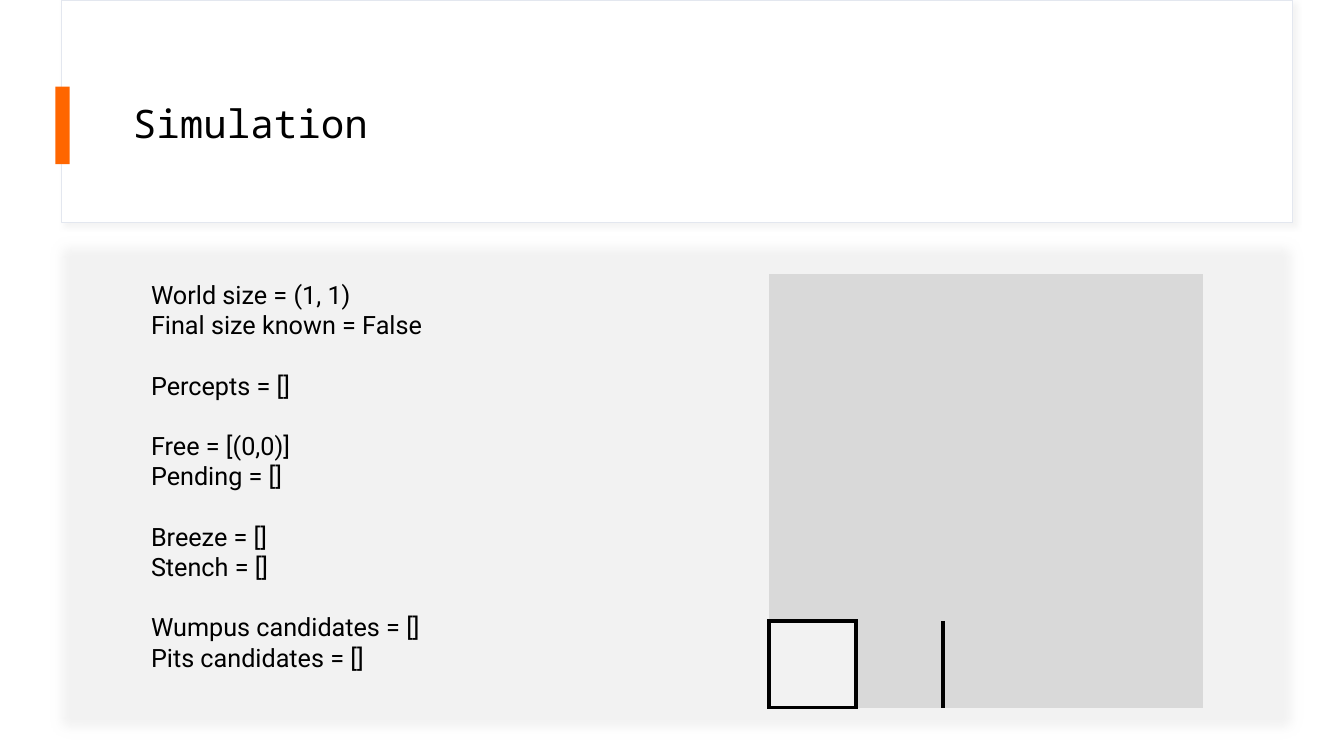
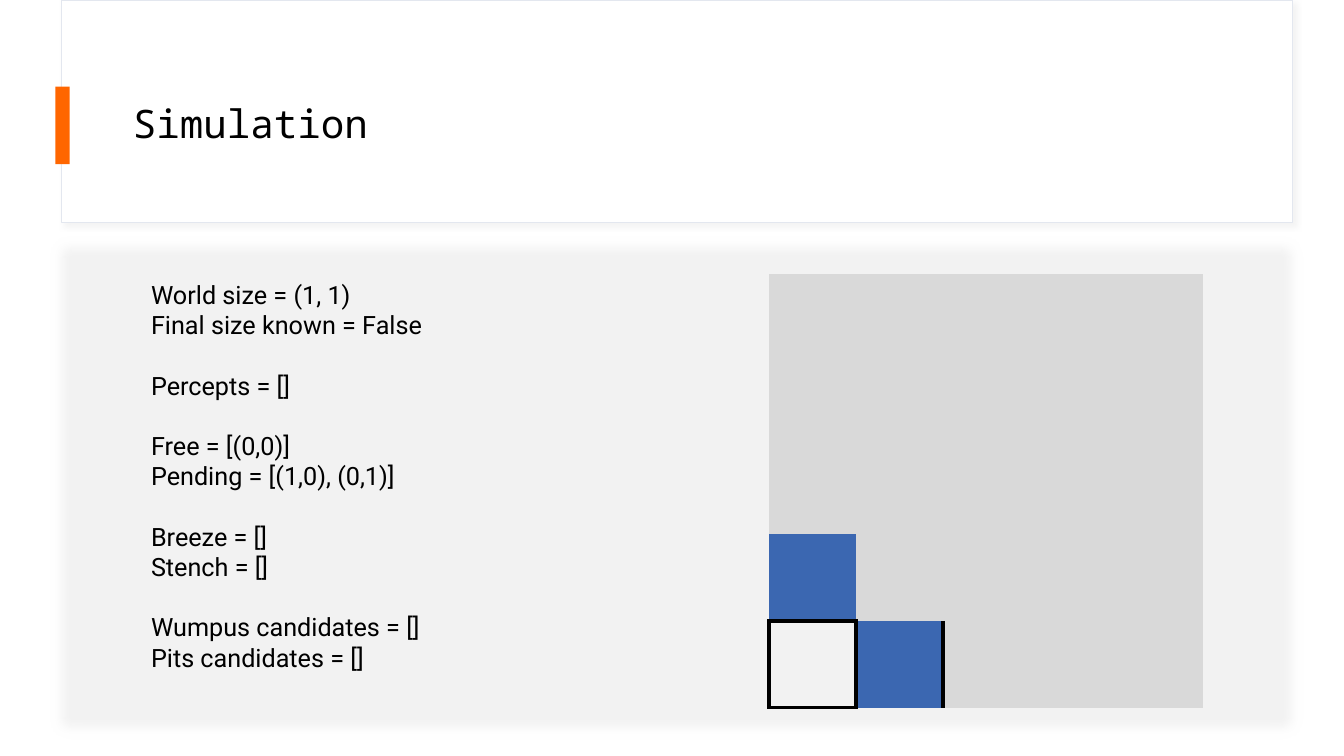
from dataclasses import dataclass

from lxml import etree
from pptx import Presentation, util as u
from pptx.dml.color import RGBColor
from pptx.enum import shapes, text
from pptx.oxml import ns


@dataclass(frozen=True)
class Theme:
    paper: str = "FFFFFF"
    ink: str = "000000"
    edge: str = "E3E7EF"
    accent: str = "FF6600"
    panel: str = "F2F2F2"
    fog: str = "D9D9D9"
    todo: str = "3B67B1"
    mono: str = "Noto Sans Mono"
    sans: str = "Roboto"
    head: int = 28
    body: int = 18
    gap: float = 21.6


T = Theme()

# Content: each slide has groups of lines and the cells (x, y) still pending
TITLE = "Simulation"
HERE = (0, 0)
SIZE = 5


def state(pending):
    return [
        ["World size = (1, 1)", "Final size known = False"],
        ["Percepts = []"],
        ["Free = [(0,0)]", f"Pending = {pending}"],
        ["Breeze = []", "Stench = []"],
        ["Wumpus candidates = []", "Pits candidates = []"],
    ]


STEPS = [
    (state("[]"), []),
    (state("[(1,0), (0,1)]"), [(1, 0), (0, 1)]),
]

# Layout in inches: left, top, width, height
WIDE, HIGH = 13.33, 7.5
FRAME = (0.61, 0, 12.21, 2.21)
BAR = (0.55, 0.86, 0.14, 0.77)
PANEL = (0.46, 2.31, 12.51, 5.07)
HEAD = (1.22, 0.6, 11.12, 1.29)
BODY = (1.4, 2.72, 5.47, 4.34)
BOARD = (7.63, 2.72, 4.3, 4.3)
PLAIN = "{2D5ABB26-0587-4C30-8999-92F81FD0307C}"  # no style, no grid


def inch(box):
    return [u.Inches(n) for n in box]


def node(up, tag, **attrs):
    return etree.SubElement(up, ns.qn(tag), {k: str(v) for k, v in attrs.items()})


def tint(up, color):
    return node(node(up, "a:solidFill"), "a:srgbClr", val=color)


def rect(slide, box, fill, line=None):
    """Add a rectangle and return its empty effect list."""
    shape = slide.shapes.add_shape(shapes.MSO_SHAPE.RECTANGLE, *inch(box))
    shape.fill.solid()
    shape.fill.fore_color.rgb = RGBColor.from_string(fill)
    if line:
        shape.line.color.rgb = RGBColor.from_string(line)
        shape.line.width = u.Pt(0.75)
    else:
        shape.line.fill.background()
    shape.shadow.inherit = False
    return shape._element.spPr.find(ns.qn("a:effectLst"))


def style(par, font, size):
    for run in par.runs:
        run.font.name, run.font.size = font, u.Pt(size)
        run.font.color.rgb = RGBColor.from_string(T.ink)


def base(slide):
    # Header frame, accent bar, soft panel and title
    glow = rect(slide, FRAME, T.paper, T.edge)
    shade = node(glow, "a:outerShdw", blurRad=u.Pt(4), dist=u.Pt(3),
                 dir=45 * 60000, algn="tl", rotWithShape=0)
    node(node(shade, "a:srgbClr", val=T.fog), "a:alpha", val=30000)
    rect(slide, BAR, T.accent)
    node(rect(slide, PANEL, T.panel), "a:softEdge", rad=u.Pt(10))
    frame = slide.shapes.add_textbox(*inch(HEAD)).text_frame
    frame.word_wrap = True
    frame.vertical_anchor = text.MSO_ANCHOR.MIDDLE
    frame.text = TITLE
    frame.paragraphs[0].line_spacing = 0.9
    style(frame.paragraphs[0], T.mono, T.head)


def notes(slide, groups):
    # State list, one line of space between groups
    frame = slide.shapes.add_textbox(*inch(BODY)).text_frame
    frame.word_wrap = True
    frame.text = "\n".join(line for group in groups for line in group)
    pars = iter(frame.paragraphs)
    for g, group in enumerate(groups):
        for n, _ in enumerate(group):
            par = next(pars)
            par.space_before = u.Pt(T.gap if g and not n else 0)
            style(par, T.sans, T.body)


def border(cell, sides):
    for side in sides:
        line = node(cell._tc.get_or_add_tcPr(), f"a:ln{side}", w=u.Pt(3))
        tint(line, T.ink)


def board(slide, todo):
    # World map: y counts up from the bottom row
    grid = slide.shapes.add_table(SIZE, SIZE, *inch(BOARD)).table
    grid.first_row = grid.horz_banding = False
    grid._tbl.tblPr.find(ns.qn("a:tableStyleId")).text = PLAIN
    x, y = HERE
    edges = {HERE: "LRTB", (x, y + 1): "B", (x + 1, y): "L"}
    for row in range(SIZE):
        for col in range(SIZE):
            spot = (col, SIZE - 1 - row)
            cell = grid.cell(row, col)
            border(cell, edges.get(spot, ""))
            if spot == HERE:
                cell.fill.background()
            else:
                cell.fill.solid()
                color = T.todo if spot in todo else T.fog
                cell.fill.fore_color.rgb = RGBColor.from_string(color)


def main():
    deck = Presentation()
    deck.slide_width, deck.slide_height = inch((WIDE, HIGH))
    for groups, todo in STEPS:
        slide = deck.slides.add_slide(deck.slide_layouts[6])
        base(slide)
        board(slide, todo)
        notes(slide, groups)
    deck.save("out.pptx")


if __name__ == "__main__":
    main()
